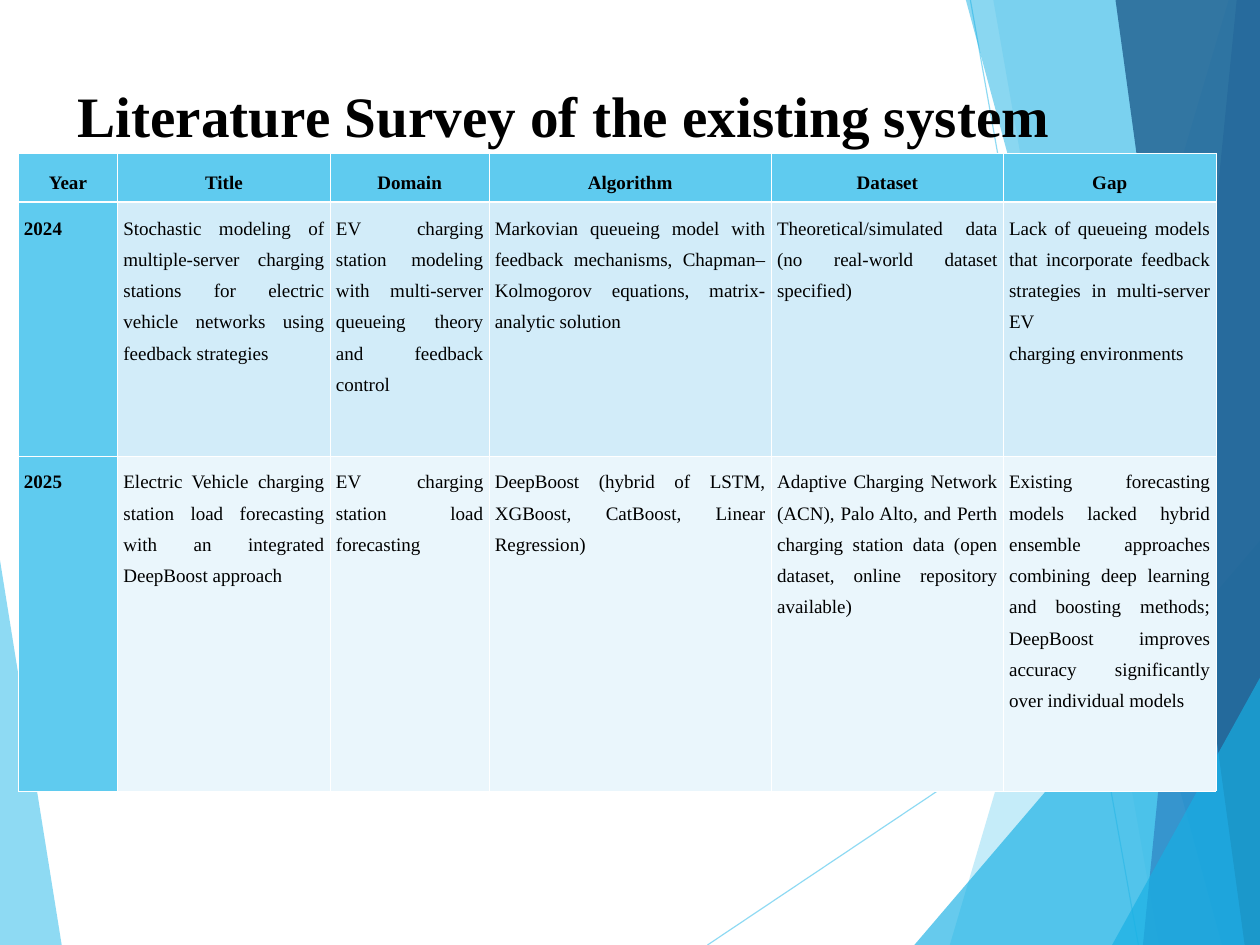
from lxml.etree import SubElement
from pptx import Presentation
from pptx.dml.color import RGBColor
from pptx.enum.shapes import MSO_CONNECTOR
from pptx.enum.text import MSO_ANCHOR, MSO_AUTO_SIZE, PP_ALIGN
from pptx.oxml.ns import qn
from pptx.util import Inches, Pt

COLORS = {
    "black": "000000",
    "white": "FFFFFF",
    "sky": "5FCBEF",
    "cyan": "17B0E4",
    "blue": "2E83C3",
    "navy": "236292",
    "pale": "D2ECF9",
    "palest": "EAF6FC",
}
# The page measures 28 by 21 cm
WIDTH, HEIGHT = 28 / 2.54, 21 / 2.54
NO_BREAK_SPACE = chr(160)


def write(frame, text, size=12, bold=False, align=PP_ALIGN.LEFT, spacing=1.0):
    frame.word_wrap = True
    paragraph = frame.paragraphs[0]
    paragraph.alignment = align
    paragraph.line_spacing = spacing
    run = paragraph.add_run()
    run.text = text
    run.font.name = "Times New Roman"
    run.font.size = Pt(size)
    run.font.bold = bold
    run.font.color.rgb = RGBColor.from_string(COLORS["black"])


def set_opacity(element, percent):
    for color in element.iter(qn("a:srgbClr")):
        SubElement(color, qn("a:alpha"), val=str(percent * 1000))


prs = Presentation()
prs.slide_width, prs.slide_height = Inches(WIDTH), Inches(HEIGHT)
slide = prs.slides.add_slide(prs.slide_layouts[5])
shapes = slide.shapes

# Background facets and rays, from back to front
rays = [((6.19, HEIGHT), (WIDTH, 5.03)), ((8.49, 0), (9.96, HEIGHT))]
for start, end in rays:
    ray = shapes.add_connector(
        MSO_CONNECTOR.STRAIGHT, *[Inches(value) for value in start + end])
    ray.line.color.rgb = RGBColor.from_string(COLORS["sky"])
    ray.line.width = Pt(0.75)
    set_opacity(ray.element, 70)
    SubElement(ray.element.spPr, qn("a:effectLst"))

top_right, bottom_right = (WIDTH, 0), (WIDTH, HEIGHT)
facets = [
    ("sky", 70, [(0, 4.9), (0.54, HEIGHT), (0, HEIGHT)]),
    ("sky", 36, [(10.75, 0), (8.31, HEIGHT), bottom_right, top_right]),
    ("sky", 20, [(8.69, 0), (10.14, HEIGHT), bottom_right, top_right]),
    ("cyan", 66, [(8, HEIGHT), (WIDTH, 4.73), bottom_right]),
    ("cyan", 50, [(8.45, 0), (10.69, HEIGHT), bottom_right, top_right]),
    ("blue", 70, [(10.82, 0), (10, HEIGHT), bottom_right, top_right]),
    ("navy", 82, [(9.76, 0), (10.89, HEIGHT), bottom_right, top_right]),
    ("cyan", 66, [(9.73, HEIGHT), (WIDTH, 5.93), bottom_right]),
]
for color, opacity, corners in facets:
    points = [(Inches(x), Inches(y)) for x, y in corners]
    outline = shapes.build_freeform(*points[0])
    outline.add_line_segments(points[1:], close=True)
    facet = outline.convert_to_shape()
    facet.shadow.inherit = False
    facet.fill.solid()
    facet.fill.fore_color.rgb = RGBColor.from_string(COLORS[color])
    facet.line.fill.background()
    set_opacity(facet.element, opacity)

# Title, brought in front of the facets
title = shapes.title
shapes.element.append(title.element)
title.left, title.top = Inches(0.55), Inches(0.33)
title.width, title.height = Inches(9.92), Inches(1.38)
heading = title.text_frame
heading.auto_size = MSO_AUTO_SIZE.NONE
heading.vertical_anchor = MSO_ANCHOR.MIDDLE
heading.margin_left, heading.margin_top = Inches(0.13), Inches(0.03)
heading.margin_right = heading.margin_bottom = 0
write(heading, "Literature Survey of the existing system",
      size=36, bold=True, spacing=0.93)

# Survey table
survey = [
    ["Year", "Title", "Domain", "Algorithm", "Dataset", "Gap"],
    [
        "2024",
        "Stochastic modeling of multiple-server charging stations for "
        "electric vehicle networks using feedback strategies",
        "EV charging station modeling with multi-server queueing theory "
        "and feedback control",
        "Markovian queueing model with feedback mechanisms, "
        "Chapman–Kolmogorov equations, matrix-analytic solution",
        "Theoretical/simulated data (no real-world dataset specified)",
        "Lack of queueing models that incorporate feedback strategies in "
        f"multi-server EV charging{NO_BREAK_SPACE}environments",
    ],
    [
        "2025",
        "Electric Vehicle charging station load forecasting with an "
        "integrated DeepBoost approach",
        "EV charging station load forecasting",
        "DeepBoost (hybrid of LSTM, XGBoost, CatBoost, Linear Regression)",
        "Adaptive Charging Network (ACN), Palo Alto, and Perth charging "
        "station data (open dataset, online repository available)",
        "Existing forecasting models lacked hybrid ensemble approaches "
        "combining deep learning and boosting methods; DeepBoost improves "
        f"accuracy significantly over individual{NO_BREAK_SPACE}models",
    ],
]
column_widths = [0.87, 1.86, 1.39, 2.47, 2.03, 1.86]
row_heights = [0.43, 2.22, 2.93]
row_colors = ["sky", "pale", "palest"]

table = shapes.add_table(
    len(row_heights), len(column_widths), Inches(0.16), Inches(1.34),
    Inches(sum(column_widths)), Inches(sum(row_heights))).table
table.horz_banding = False
for column, width in zip(table.columns, column_widths):
    column.width = Inches(width)
for row, height in zip(table.rows, row_heights):
    row.height = Inches(height)

for r, entries in enumerate(survey):
    for c, entry in enumerate(entries):
        cell = table.cell(r, c)
        is_header = r == 0
        cell.margin_left = cell.margin_right = Inches(0.05)
        cell.margin_top = cell.margin_bottom = Inches(0.05)
        cell.vertical_anchor = MSO_ANCHOR.MIDDLE if is_header else MSO_ANCHOR.TOP
        write(cell.text_frame, entry, bold=is_header or c == 0, spacing=1.48,
              align=PP_ALIGN.CENTER if is_header else PP_ALIGN.JUSTIFY)
        for side in "LRTB":
            under_header = (r, side) in [(0, "B"), (1, "T")]
            border = SubElement(cell._tc.get_or_add_tcPr(), qn(f"a:ln{side}"),
                                w=str(Pt(1.47 if under_header else 0.45)))
            border_fill = SubElement(border, qn("a:solidFill"))
            SubElement(border_fill, qn("a:srgbClr"), val=COLORS["white"])
        cell.fill.solid()
        cell.fill.fore_color.rgb = RGBColor.from_string(
            COLORS["sky" if c == 0 else row_colors[r]])

prs.save("out.pptx")
